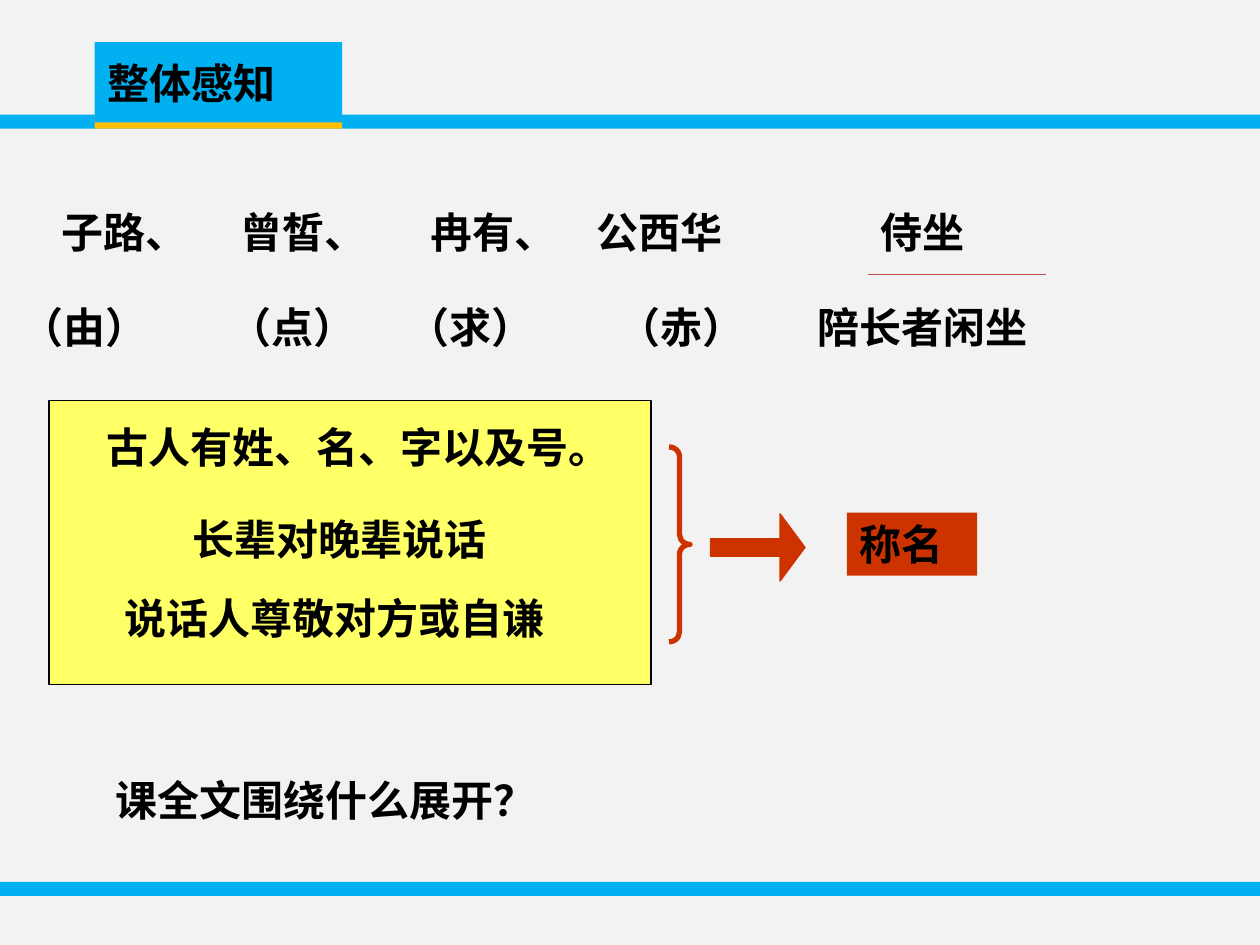
from lxml.etree import SubElement
from pptx import Presentation
from pptx.dml.color import RGBColor
from pptx.enum.shapes import MSO_CONNECTOR, MSO_SHAPE as Shape
from pptx.enum.text import MSO_ANCHOR, MSO_AUTO_SIZE as AutoSize, PP_ALIGN
from pptx.oxml.ns import qn
from pptx.util import Pt

# Content: (text, left, width), lengths in points
TITLE = "整体感知"
NAMES = [("子路、", 28, 480), ("冉有、", 239, 86.4), ("曾皙、", 130.4, 162),
         ("公西华", 334, 168), ("侍坐", 496, 114)]
GIVEN_NAMES = [("（由）", 5, 86.4), ("（点）", 124, 138), ("（求）", 226, 138),
               ("（赤）", 346.3, 132), ("陪长者闲坐", 460, 194)]
# (text, left, top, width)
STATEMENTS = [("古人有姓、名、字以及号。", 54, 237.6, 300),
              ("长辈对晚辈说话", 103, 290, 186),
              ("说话人尊敬对方或自谦", 64, 334.8, 272),
              ("课全文围绕什么展开？", 59, 439.2, 419)]
RESULT = "称名"

# Style
FONT, SIZE = "Noto Sans CJK SC", 24
BLUE, GOLD, YELLOW, RED = "00B0F0", "FFC000", "FFFF66", "CC3300"
BLACK, GRAY, UNDERLINE = "000000", "F2F2F2", "C0504D"
NAME_TOP, GIVEN_TOP, LINE_HEIGHT = 114.5, 168.5, 36
TAB_LEFT, TAB_WIDTH, BAR_TOP, BAR_HEIGHT = 54, 141.6, 65.6, 8
WIDTH = 720


def color(code):
    return RGBColor.from_string(code)


def place(item, left, top, width, height):
    item.left, item.top, item.width, item.height = map(Pt, (left, top, width, height))


def write(item, text, wrap=True, fit=AutoSize.SHAPE_TO_FIT_TEXT, anchor=MSO_ANCHOR.TOP):
    frame = item.text_frame
    frame.text = text
    frame.word_wrap = wrap
    frame.auto_size = fit
    frame.vertical_anchor = anchor
    para = frame.paragraphs[0]
    para.alignment = PP_ALIGN.LEFT
    font = para.font
    font.name, font.size, font.bold = FONT, Pt(SIZE), True
    font.color.rgb = color(BLACK)
    SubElement(para._p.pPr.find(qn("a:defRPr")), qn("a:ea")).set("typeface", FONT)


def add_text(text, left, top, width, wrap=True):
    box = page.shapes.add_textbox(Pt(left), Pt(top), Pt(width), Pt(LINE_HEIGHT))
    write(box, text, wrap)


def add_shape(kind, left, top, width, height, fill=None, line=None, weight=0.75):
    item = page.shapes.add_shape(kind, Pt(left), Pt(top), Pt(width), Pt(height))
    item.shadow.inherit = False
    if fill:
        item.fill.solid()
        item.fill.fore_color.rgb = color(fill)
    else:
        item.fill.background()
    if line:
        item.line.color.rgb = color(line)
        item.line.width = Pt(weight)
    else:
        item.line.fill.background()
    return item


deck = Presentation()
deck.slide_width, deck.slide_height = Pt(WIDTH), Pt(540)
page = deck.slides.add_slide(deck.slide_layouts[5])
page.background.fill.solid()
page.background.fill.fore_color.rgb = color(GRAY)

# Bars, with the title tab in front of them
add_shape(Shape.RECTANGLE, 0, 504, WIDTH, BAR_HEIGHT, BLUE)
add_shape(Shape.RECTANGLE, 0, BAR_TOP, WIDTH, BAR_HEIGHT, BLUE)
add_shape(Shape.RECTANGLE, TAB_LEFT, BAR_TOP, TAB_WIDTH, BAR_HEIGHT, GOLD)
title = page.shapes.title
place(title, TAB_LEFT, 24, TAB_WIDTH, 46)
title.fill.solid()
title.fill.fore_color.rgb = color(BLUE)
write(title, TITLE, fit=AutoSize.NONE, anchor=MSO_ANCHOR.MIDDLE)
page.shapes._spTree.append(title._element)

# Two rows of names
for top, row in ((NAME_TOP, NAMES), (GIVEN_TOP, GIVEN_NAMES)):
    for text, left, width in row:
        add_text(text, left, top, width, wrap=width != 86.4)
underline = page.shapes.add_connector(MSO_CONNECTOR.STRAIGHT, Pt(496), Pt(156.7), Pt(598), Pt(156.7))
underline.line.color.rgb = color(UNDERLINE)
underline.line.width = Pt(0.75)
SubElement(underline._element.spPr, qn("a:effectLst"))

# Panel, statements and closing question
add_shape(Shape.RECTANGLE, 28, 229, 344, 162, YELLOW, BLACK)
for statement in STATEMENTS:
    add_text(*statement)

# Brace and arrow leading to the result
brace = add_shape(Shape.RIGHT_BRACE, 382.3, 255.4, 12, 111.4, line=RED, weight=3)
brace.adjustments[0] = 0.47
arrow = add_shape(Shape.RIGHT_ARROW, 406, 293.6, 54, 38.4, RED, RED)
arrow.adjustments[0], arrow.adjustments[1] = 0.26, 0.37
result = add_shape(Shape.RECTANGLE, 484, 293, 74.4, LINE_HEIGHT, RED)
write(result, RESULT)

deck.save("out.pptx")
